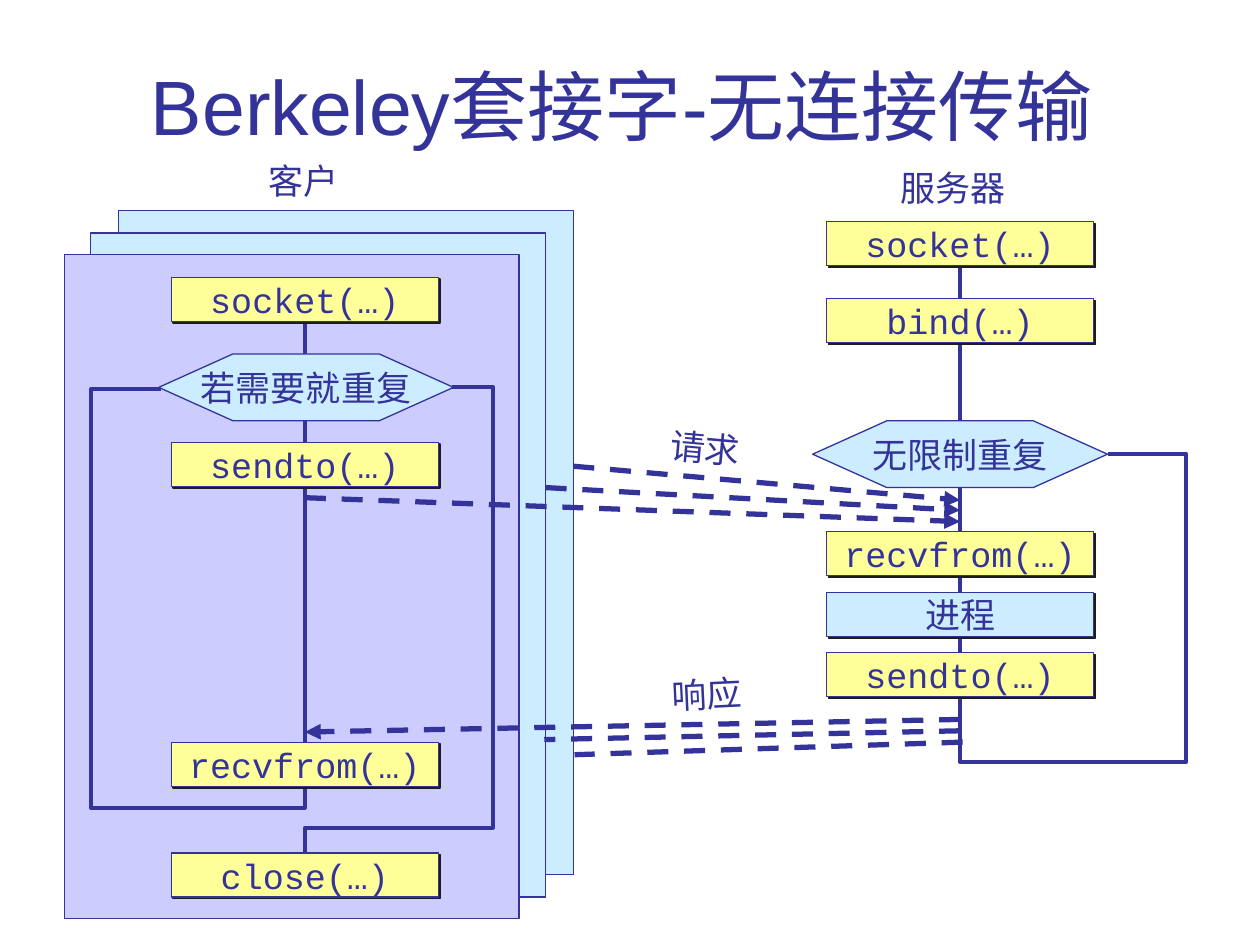
import pptx
import pptx.util
import pptx.dml.color
import pptx.enum.dml
import pptx.enum.shapes
import pptx.enum.text
import pptx.oxml
import pptx.oxml.ns

Inches, Pt = pptx.util.Inches, pptx.util.Pt
RGB = pptx.dml.color.RGBColor.from_string
Kind = pptx.enum.shapes.MSO_SHAPE
Anchor = pptx.enum.text.MSO_ANCHOR
Align = pptx.enum.text.PP_ALIGN
Size = pptx.enum.text.MSO_AUTO_SIZE
NS = pptx.oxml.ns.nsdecls("a")

colors = {"ink": "333399", "sky": "CCECFF", "lilac": "CCCCFF", "lemon": "FFFF99", "shade": "1C1C1C"}
code = {"size": Pt(20), "name": "Courier New"}
head = {"size": Pt(44), "name": "Arial"}


def write(shape, text, font, align, anchor):
    frame = shape.text_frame
    frame.text = text
    frame.vertical_anchor = anchor
    para = frame.paragraphs[0]
    para.alignment = align
    run = para.runs[0]
    for key, value in font.items():
        setattr(run.font, key, value)
    run.font.color.rgb = RGB(colors["ink"])
    return frame


def block(kind, left, top, width, height, fill, text=None):
    shape = slide.shapes.add_shape(kind, Inches(left), Inches(top), Inches(width), Inches(height))
    shape.shadow.inherit = False
    shape.fill.solid()
    shape.fill.fore_color.rgb = RGB(colors[fill])
    shape.line.color.rgb = RGB(colors["ink"])
    shape.line.width = Pt(0.75)
    if text:
        write(shape, text, code, Align.CENTER, Anchor.MIDDLE).word_wrap = False
    return shape


deck = pptx.Presentation()
deck.slide_width, deck.slide_height = Inches(10), Inches(7.5)
slide = deck.slides.add_slide(deck.slide_layouts[5])

title = slide.shapes.title
title.left, title.top, title.width, title.height = Inches(0.25), Inches(0.17), Inches(9.51), Inches(1.08)
write(title, "Berkeley套接字-无连接传输 ", head, Align.CENTER, Anchor.BOTTOM).auto_size = Size.NONE

for left, top, fill in [(0.94, 1.67, "sky"), (0.72, 1.85, "sky"), (0.51, 2.02, "lilac")]:
    block(Kind.RECTANGLE, left, top, 3.61, 5.27, fill)

client, server = 2.42, 7.62
paths = [
    [(client, 2.55), (client, 6.41), (0.72, 6.41), (0.72, 3.09), (1.28, 3.09)],
    [(server, 2.12), (server, 6.05), (9.41, 6.05), (9.41, 3.6), (8.79, 3.6)],
    [(3.59, 3.07), (3.91, 3.07), (3.91, 6.57), (client, 6.57), (client, 6.77)],
]
for path in paths:
    points = [(Inches(x), Inches(y)) for x, y in path]
    pen = slide.shapes.build_freeform(*points[0], scale=1.0)
    pen.add_line_segments(points[1:], close=False)
    route = pen.convert_to_shape()
    route.shadow.inherit = False
    route.fill.background()
    route.line.color.rgb = RGB(colors["ink"])
    route.line.width = Pt(2.25)

calls = {
    client: [("socket(…)", 2.2), ("sendto(…)", 3.51), ("recvfrom(…)", 5.89), ("close(…)", 6.77)],
    server: [("socket(…)", 1.76), ("bind(…)", 2.37), ("recvfrom(…)", 4.22), ("进程", 4.7), ("sendto(…)", 5.18)],
}
for mid, steps in calls.items():
    for text, top in steps:
        fill = "sky" if text == "进程" else "lemon"
        step = block(Kind.RECTANGLE, mid - 1.06, top, 2.12, 0.35, fill, text)
        effect = step._element.spPr.find(pptx.oxml.ns.qn("a:effectLst"))
        effect.append(pptx.oxml.parse_xml(
            f'<a:outerShdw {NS} blurRad="0" dist="17780" dir="2700000" algn="ctr" rotWithShape="0">'
            f'<a:srgbClr val="{colors["shade"]}"/></a:outerShdw>'))

for left, top, text in [(1.26, 2.81, "若需要就重复"), (6.45, 3.34, "无限制重复")]:
    loop = block(Kind.HEXAGON, left, top, 2.34, 0.53, "sky", text)
    loop.adjustments[0] = 1.11

flows = [
    (client, 3.95, server, 4.14, True),
    (4.33, 3.87, server, 4.05, True),
    (4.55, 3.7, server, 3.97, True),
    (server, 5.71, client, 5.81, True),
    (server, 5.8, 4.32, 5.87, False),
    (7.64, 5.89, 4.56, 5.99, False),
]
for *ends, arrow in flows:
    flow = slide.shapes.add_connector(pptx.enum.shapes.MSO_CONNECTOR.STRAIGHT, *map(Inches, ends))
    flow.line.color.rgb = RGB(colors["ink"])
    flow.line.width = Pt(3)
    flow.line.dash_style = pptx.enum.dml.MSO_LINE.DASH
    if arrow:
        flow.line._get_or_add_ln().append(pptx.oxml.parse_xml(f'<a:tailEnd {NS} type="triangle"/>'))
    flow._element.spPr.append(pptx.oxml.parse_xml(f"<a:effectLst {NS}/>"))

labels = [
    ("客户", 2.03, 1.22, 0.78, 0),
    ("服务器", 7.05, 1.27, 1.06, 0),
    ("请求", 5.22, 3.34, 0.78, 5.1),
    ("响应", 5.23, 5.29, 0.78, 357.2),
]
for text, left, top, width, turn in labels:
    label = slide.shapes.add_textbox(Inches(left), Inches(top), Inches(width), Inches(0.44))
    label.rotation = turn
    frame = write(label, text, code, Align.LEFT, Anchor.TOP)
    frame.word_wrap = False
    frame.auto_size = Size.SHAPE_TO_FIT_TEXT

deck.save("out.pptx")
